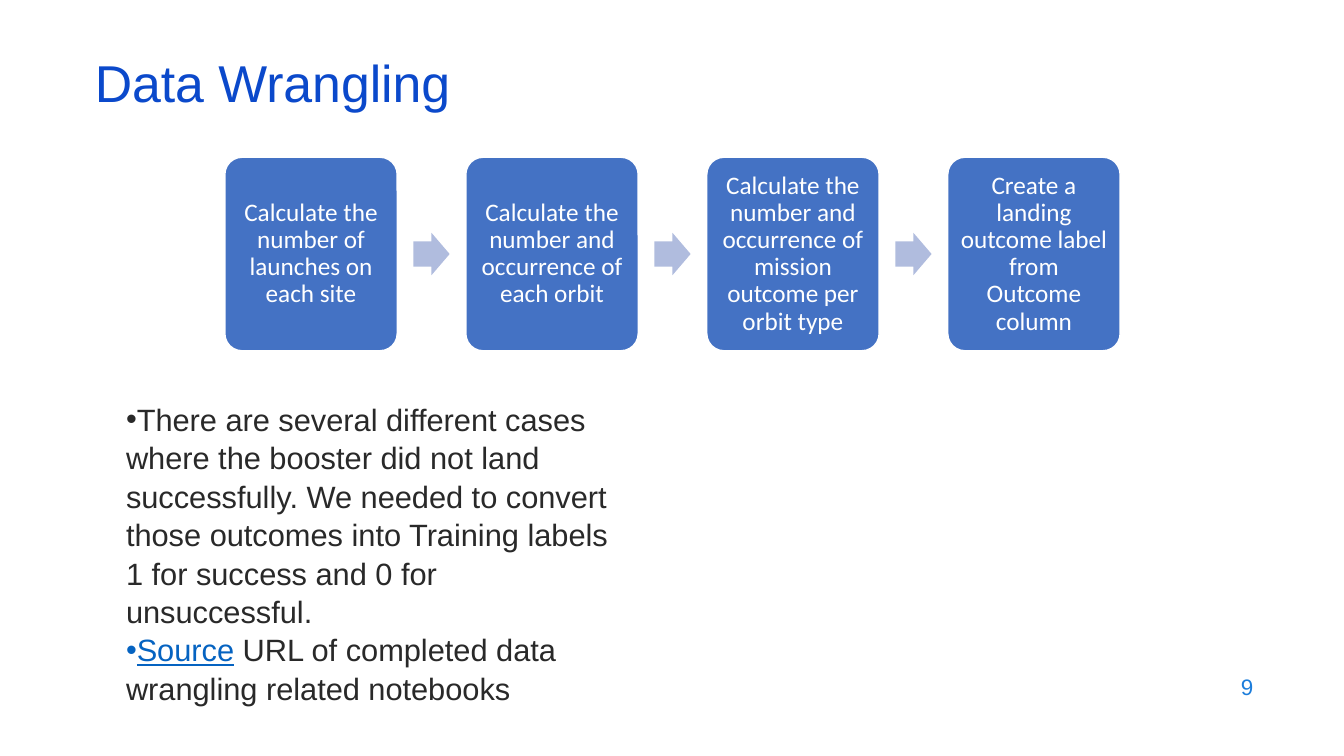
import pptx
import pptx.util
import pptx.dml.color
import pptx.enum.shapes
import pptx.enum.text
import pptx.oxml.ns
from lxml import etree

Inches = pptx.util.Inches
RGB = pptx.dml.color.RGBColor
SHAPE = pptx.enum.shapes.MSO_SHAPE
ALIGN = pptx.enum.text.PP_ALIGN
ANCHOR = pptx.enum.text.MSO_ANCHOR

TITLE = RGB(0x0B, 0x49, 0xCB)
BODY = RGB(0x29, 0x29, 0x29)
LINK = RGB(0x05, 0x63, 0xC1)
NUMBER = RGB(0x1C, 0x7D, 0xDB)
CARD = RGB(0x44, 0x72, 0xC4)
ARROW = RGB(0xB0, 0xBC, 0xDE)
WHITE = RGB(0xFF, 0xFF, 0xFF)

STEPS = [
    "Calculate the number of launches on each site",
    "Calculate the number and occurrence of each orbit",
    "Calculate the number and occurrence of mission outcome per orbit type",
    "Create a landing outcome label from Outcome column",
]
NOTES = [
    [("There are several different cases where the booster did not land "
      "successfully. We needed to convert those outcomes into Training labels "
      "1 for success and 0 for unsuccessful.", {})],
    [("Source", {"color": LINK, "line": True}),
     (" URL of completed data wrangling related notebooks", {})],
]


def write(para, text, size=22, font="Arial", color=BODY, line=False,
          align=ALIGN.LEFT, space=1.0):
    """Add a run of text to a paragraph and format both."""
    para.alignment = align
    para.line_spacing = space
    para.space_before = para.space_after = pptx.util.Pt(0)
    run = para.add_run()
    run.text = text
    run.font.size = pptx.util.Pt(size)
    run.font.name = font
    run.font.color.rgb = color
    run.font.underline = line


class Page:
    """Style and drawing methods for the current slide."""

    def __init__(self, slide):
        self.slide = slide

    def place(self, item, left, top, width, height, anchor=ANCHOR.TOP):
        item.left, item.top = Inches(left), Inches(top)
        item.width, item.height = Inches(width), Inches(height)
        frame = item.text_frame
        frame.word_wrap = True
        frame.auto_size = pptx.enum.text.MSO_AUTO_SIZE.NONE
        frame.vertical_anchor = anchor
        return frame

    def title(self, text, *area):
        frame = self.place(self.slide.shapes.title, *area, anchor=ANCHOR.MIDDLE)
        write(frame.paragraphs[0], text, size=37, color=TITLE, space=0.7)

    def bullets(self, items, *area):
        frame = self.place(self.slide.placeholders[1], *area)
        for i, runs in enumerate(items):
            para = frame.add_paragraph() if i else frame.paragraphs[0]
            props = para._p.get_or_add_pPr()
            props.set("marL", "0")
            props.set("indent", "0")
            mark = etree.SubElement(props, pptx.oxml.ns.qn("a:buChar"))
            mark.set("char", "•")
            for text, style in runs:
                write(para, text, space=1.04, **style)

    def number(self, text, *area):
        box = self.slide.shapes.add_textbox(0, 0, 0, 0)
        frame = self.place(box, *area, anchor=ANCHOR.MIDDLE)
        write(frame.paragraphs[0], text, size=16, color=NUMBER,
              align=ALIGN.RIGHT)

    def shape(self, kind, fill, ratios, *area):
        item = self.slide.shapes.add_shape(kind, *map(Inches, area))
        item.shadow.inherit = False
        item.fill.solid()
        item.fill.fore_color.rgb = fill
        item.line.fill.background()
        for i, ratio in enumerate(ratios):
            item.adjustments[i] = ratio
        return item

    def card(self, text, *area):
        item = self.shape(SHAPE.ROUNDED_RECTANGLE, CARD, [0.1], *area)
        item.line.color.rgb = WHITE
        item.line.width = pptx.util.Pt(1)
        frame = self.place(item, *area, anchor=ANCHOR.MIDDLE)
        frame.margin_left = frame.margin_right = Inches(0.07)
        frame.margin_top = frame.margin_bottom = Inches(0.07)
        write(frame.paragraphs[0], text, size=18, font="Calibri", color=WHITE,
              align=ALIGN.CENTER, space=0.9)

    def arrow(self, *area):
        self.shape(SHAPE.RIGHT_ARROW, ARROW, [0.6, 0.5], *area)


def main():
    deck = pptx.Presentation()
    deck.slide_width, deck.slide_height = Inches(13.33), Inches(7.5)
    page = Page(deck.slides.add_slide(deck.slide_layouts[1]))

    # Title, notes and page number
    page.title("Data Wrangling", 0.84, 0.59, 11.5, 0.6)
    page.bullets(NOTES, 1.15, 3.91, 5.01, 4.76)
    page.number("9", 9.53, 6.59, 3, 0.44)

    # Process: equal steps with an arrow in each gap
    for i, text in enumerate(STEPS):
        left = 2.23 + 2.39 * i
        page.card(text, left, 1.56, 1.71, 1.92)
        if i < len(STEPS) - 1:
            page.arrow(left + 1.87, 2.31, 0.36, 0.42)

    deck.save("out.pptx")


if __name__ == "__main__":
    main()
